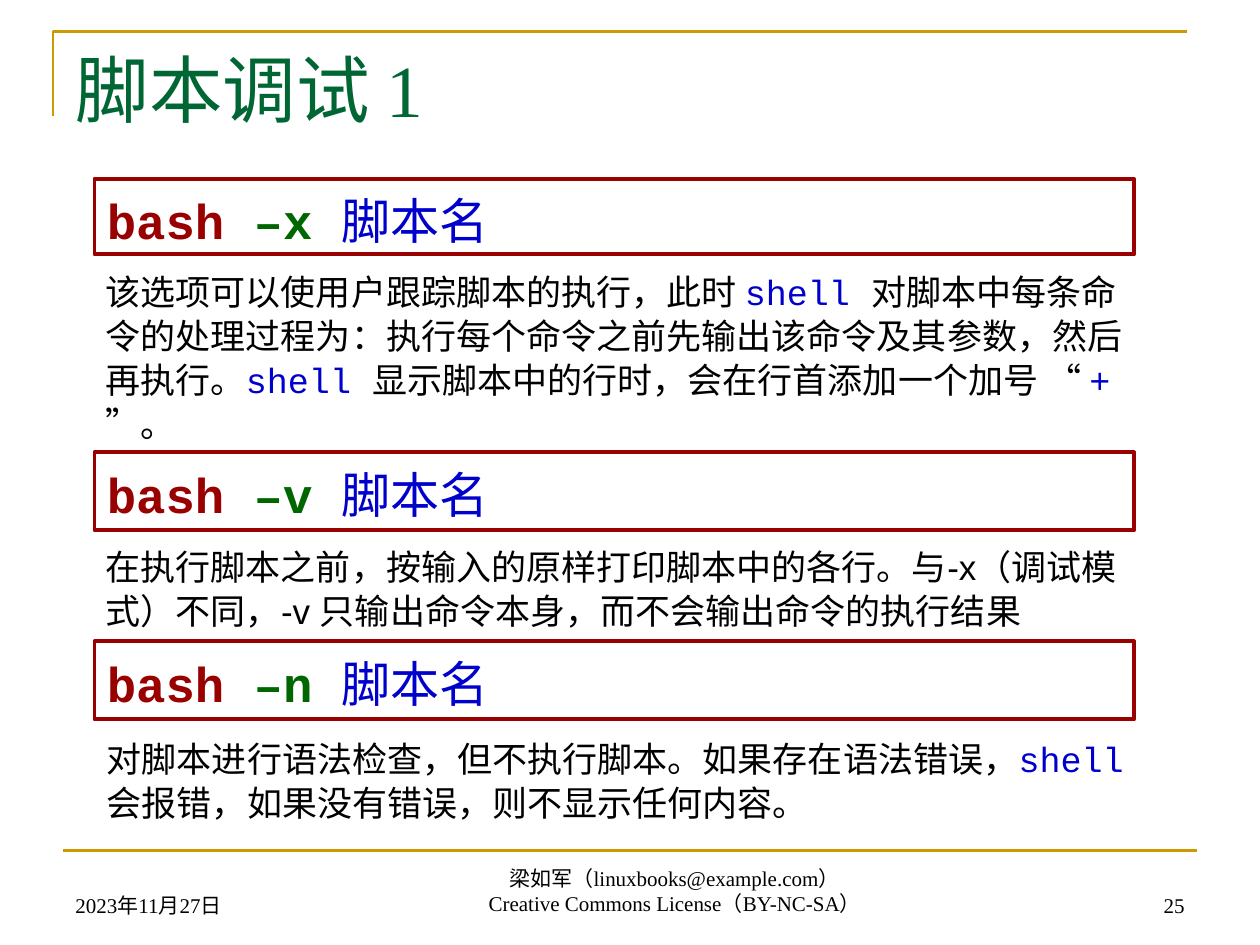
from pptx import Presentation
from pptx.dml.color import RGBColor
from pptx.enum.shapes import MSO_CONNECTOR, MSO_SHAPE
from pptx.enum.text import MSO_ANCHOR as Anchor, MSO_AUTO_SIZE as AutoSize, PP_ALIGN as Align
from pptx.oxml.ns import qn
from pptx.util import Inches, Pt
from lxml import etree

BLACK = RGBColor(0x00, 0x00, 0x00)
GOLD = RGBColor(0xCC, 0x99, 0x00)
TITLE_GREEN = RGBColor(0x00, 0x66, 0x33)
OPTION_GREEN = RGBColor(0x00, 0x66, 0x00)
DARK_RED = RGBColor(0x99, 0x00, 0x00)
BLUE = RGBColor(0x00, 0x00, 0xCC)

SERIF, SANS, MONO = "Times New Roman", "Arial", "Courier New"

# Option, command box, explanation box, explanation as (text, is_code) spans
OPTIONS = [
    ("–x ", (0.75, 1.42, 8.25, 0.6), (0.74, 2.08, 8.28, 1.51), [
        ("该选项可以使用户跟踪脚本的执行，此时 ", False),
        ("shell ", True),
        ("对脚本中每条命令的处理过程为：执行每个命令之前先输出该命令及其参数，然后再执行。", False),
        ("shell ", True),
        ("显示脚本中的行时，会在行首添加一个加号 “ ", False),
        ("+", True),
        (" ”。", False)]),
    ("–v ", (0.75, 3.59, 8.25, 0.62), (0.74, 4.26, 8.28, 0.78), [
        ("在执行脚本之前，按输入的原样打印脚本中的各行。与-x（调试模式）不同，"
         "-v 只输出命令本身，而不会输出命令的执行结果", False)]),
    ("–n ", (0.75, 5.09, 8.25, 0.62), (0.75, 5.79, 8.27, 0.78), [
        ("对脚本进行语法检查，但不执行脚本。如果存在语法错误，", False),
        ("shell ", True),
        ("会报错，如果没有错误，则不显示任何内容。", False)]),
]

FOOTERS = [
    ((0.5, 6.83, 2.33, 0.5), Align.LEFT, ["2023年11月27日"]),
    ((2.4, 6.82, 5.91, 0.5), Align.CENTER,
     ["梁如军（linuxbooks@example.com）", "Creative Commons License（BY-NC-SA）"]),
    ((7.17, 6.83, 2.33, 0.5), Align.RIGHT, ["25"]),
]


def inches(box):
    return [Inches(length) for length in box]


def set_font(font, name, size, color):
    font.name, font.size = name, Pt(size)
    font.color.rgb = color


def add_span(para, text, color):
    span = para.add_run()
    span.text = text
    span.font.color.rgb = color
    return span


def add_frame_lines(page, box):
    """Draw the gold corner around the title and the rule above the footer."""
    left, top, width, height = inches(box)
    builder = page.shapes.build_freeform(left, top + height)
    builder.add_line_segments([(left, top), (left + width, top)], close=False)
    corner = builder.convert_to_shape()
    corner.shadow.inherit = False
    corner.fill.background()
    rule = page.shapes.add_connector(
        MSO_CONNECTOR.STRAIGHT, Inches(0.5), Inches(6.75), Inches(9.5), Inches(6.75))
    etree.SubElement(rule._element.spPr, qn("a:effectLst"))
    for shape in (corner, rule):
        shape.line.color.rgb = GOLD
        shape.line.width = Pt(1.5)


def add_title(page, box, text):
    title = page.shapes.title
    title.left, title.top, title.width, title.height = inches(box)
    frame = title.text_frame
    frame.text = text
    frame.vertical_anchor = Anchor.TOP
    frame.auto_size = AutoSize.NONE
    para = frame.paragraphs[0]
    para.alignment = Align.LEFT
    set_font(para.font, SERIF, 42, TITLE_GREEN)


def add_command(page, box, option):
    shape = page.shapes.add_shape(MSO_SHAPE.RECTANGLE, *inches(box))
    shape.shadow.inherit = False
    shape.fill.background()
    shape.line.color.rgb = DARK_RED
    shape.line.width = Pt(2.25)
    frame = shape.text_frame
    frame.word_wrap = True
    frame.auto_size = AutoSize.SHAPE_TO_FIT_TEXT
    frame.vertical_anchor = Anchor.TOP
    para = frame.paragraphs[0]
    para.alignment = Align.LEFT
    para.line_spacing = 1.1
    para.font.name, para.font.size = MONO, Pt(28)
    for text, color in (("bash ", DARK_RED), (option, OPTION_GREEN), ("脚本名", BLUE)):
        span = add_span(para, text, color)
        span.font.bold = color != BLUE


def add_explanation(page, box, spans):
    frame = page.shapes.add_textbox(*inches(box)).text_frame
    frame.word_wrap = True
    frame.auto_size = AutoSize.SHAPE_TO_FIT_TEXT
    para = frame.paragraphs[0]
    para.line_spacing = 1.05
    para.space_before = Pt(4)
    para.font.size = Pt(20)
    for text, is_code in spans:
        span = add_span(para, text, BLUE if is_code else BLACK)
        span.font.name = MONO if is_code else SANS


def add_footer(page, box, alignment, lines):
    frame = page.shapes.add_textbox(*inches(box)).text_frame
    frame.word_wrap = True
    frame.vertical_anchor = Anchor.BOTTOM
    frame.text = "\n".join(lines)
    for para in frame.paragraphs:
        para.alignment = alignment
        set_font(para.font, SERIF, 12, BLACK)


def main():
    deck = Presentation()
    deck.slide_width, deck.slide_height = Inches(10), Inches(7.5)
    page = deck.slides.add_slide(deck.slide_layouts[5])
    add_frame_lines(page, (0.42, 0.25, 9, 0.67))
    add_title(page, (0.5, 0.3, 9, 1.25), "脚本调试 1")
    for footer in FOOTERS:
        add_footer(page, *footer)
    for option, command_box, explanation_box, spans in OPTIONS:
        add_command(page, command_box, option)
        add_explanation(page, explanation_box, spans)
    deck.save("out.pptx")


if __name__ == "__main__":
    main()
